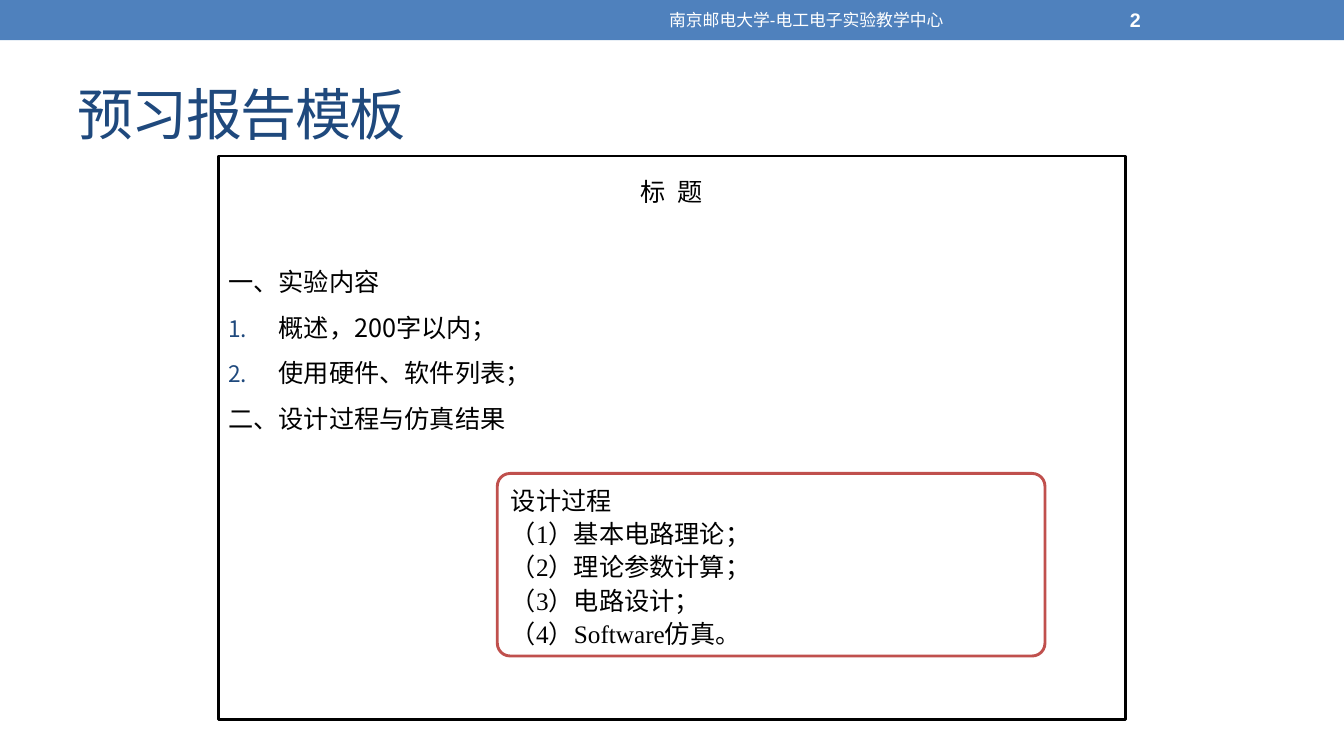
from lxml import etree
from pptx import Presentation
from pptx.dml.color import RGBColor
from pptx.enum import shapes, text
from pptx.oxml import ns
from pptx.util import Pt

COLORS = {"band": "4F81BD", "title": "1F497D", "white": "FFFFFF",
          "black": "000000", "accent": "C0504D"}
SERIF, SANS, CJK = "Times New Roman", "Arial", "Noto Sans CJK SC"
LEFT, CENTER, JUSTIFY = text.PP_ALIGN.LEFT, text.PP_ALIGN.CENTER, text.PP_ALIGN.JUSTIFY
RECT, ROUNDED = shapes.MSO_SHAPE.RECTANGLE, shapes.MSO_SHAPE.ROUNDED_RECTANGLE
TOP, MIDDLE = text.MSO_ANCHOR.TOP, text.MSO_ANCHOR.MIDDLE

WIDTH, HEIGHT = 960, 540
BORDER = 2.08
INDENT = 36
BLANK_LINE = 32.4

HEADINGS = [
    ((48, 41.76, 864, 77.76), "预习报告模板",
     dict(size=40, font=SERIF, color="title", spacing=-100)),
    ((360, 1.44, 432, 25.92), "南京邮电大学-电工电子实验教学中心",
     dict(size=12, font=SANS, color="white", align=CENTER)),
    ((800, 1.44, 112, 25.92), "2",
     dict(size=14, font=SANS, color="white", bold=True)),
]
REPORT = [
    ("标 题", dict(align=CENTER, spacing=225)),
    ("一、实验内容", dict(before=BLANK_LINE)),
    ("概述，200字以内；", dict(font=CJK, numbered=True)),
    ("使用硬件、软件列表；", dict(font=CJK, numbered=True)),
    ("二、设计过程与仿真结果", {}),
]
DESIGN = ["设计过程", "（1）基本电路理论；", "（2）理论参数计算；",
          "（3）电路设计；", "（4）Software仿真。"]


def rgb(name):
    return RGBColor.from_string(COLORS[name])


def add_child(parent, tag, **attributes):
    child = etree.SubElement(parent, ns.qn(tag))
    for key, value in attributes.items():
        child.set(key, value)
    return child


def number(paragraph):
    properties = paragraph._p.get_or_add_pPr()
    properties.set("marL", str(Pt(INDENT)))
    properties.set("indent", str(-Pt(INDENT)))
    add_child(add_child(properties, "a:buClr"), "a:srgbClr", val=COLORS["title"])
    add_child(properties, "a:buSzPct", val="90000")
    add_child(properties, "a:buFont", typeface=CJK)
    add_child(properties, "a:buAutoNum", type="arabicPeriod")


def write(paragraph, words, size=18, font=SERIF, color="black", align=LEFT,
          lines=1, before=0, bold=False, spacing=0, numbered=False):
    run = paragraph.add_run()
    run.text = words
    paragraph.alignment = align
    paragraph.line_spacing = lines
    if before:
        paragraph.space_before = Pt(before)
    if numbered:
        number(paragraph)
    style = paragraph.font
    style.size, style.name, style.bold = Pt(size), font, bold
    style.color.rgb = rgb(color)
    add_child(style._element, "a:ea", typeface=CJK)
    if spacing:
        run._r.get_or_add_rPr().set("spc", str(spacing))


def fill_frame(frame, paragraphs, anchor):
    frame.word_wrap = True
    frame.vertical_anchor = anchor
    for index, (words, style) in enumerate(paragraphs):
        paragraph = frame.add_paragraph() if index else frame.paragraphs[0]
        write(paragraph, words, **style)


def add_panel(slide, kind, place, fill, line=None):
    panel = slide.shapes.add_shape(kind, *map(Pt, place))
    panel.shadow.inherit = False
    panel.fill.solid()
    panel.fill.fore_color.rgb = rgb(fill)
    if line:
        panel.line.color.rgb = rgb(line)
        panel.line.width = Pt(BORDER)
    else:
        panel.line.fill.background()
    return panel


def main():
    deck = Presentation()
    deck.slide_width, deck.slide_height = Pt(WIDTH), Pt(HEIGHT)
    slide = deck.slides.add_slide(deck.slide_layouts[6])

    add_panel(slide, RECT, (0, 0, WIDTH, 28.8), "band")
    for place, words, style in HEADINGS:
        heading = slide.shapes.add_textbox(*map(Pt, place))
        fill_frame(heading.text_frame, [(words, style)], MIDDLE)

    report = add_panel(slide, RECT, (156, 111.4, 648, 402.6), "white", "black")
    fill_frame(report.text_frame,
               [(words, {"align": JUSTIFY, "lines": 1.5, **style}) for words, style in REPORT],
               TOP)

    design = add_panel(slide, ROUNDED, (355.2, 338.2, 391.2, 130.4), "white", "accent")
    design.adjustments[0] = 0.07
    fill_frame(design.text_frame, [(words, {"lines": 1.1}) for words in DESIGN], TOP)

    deck.save("out.pptx")


if __name__ == "__main__":
    main()
